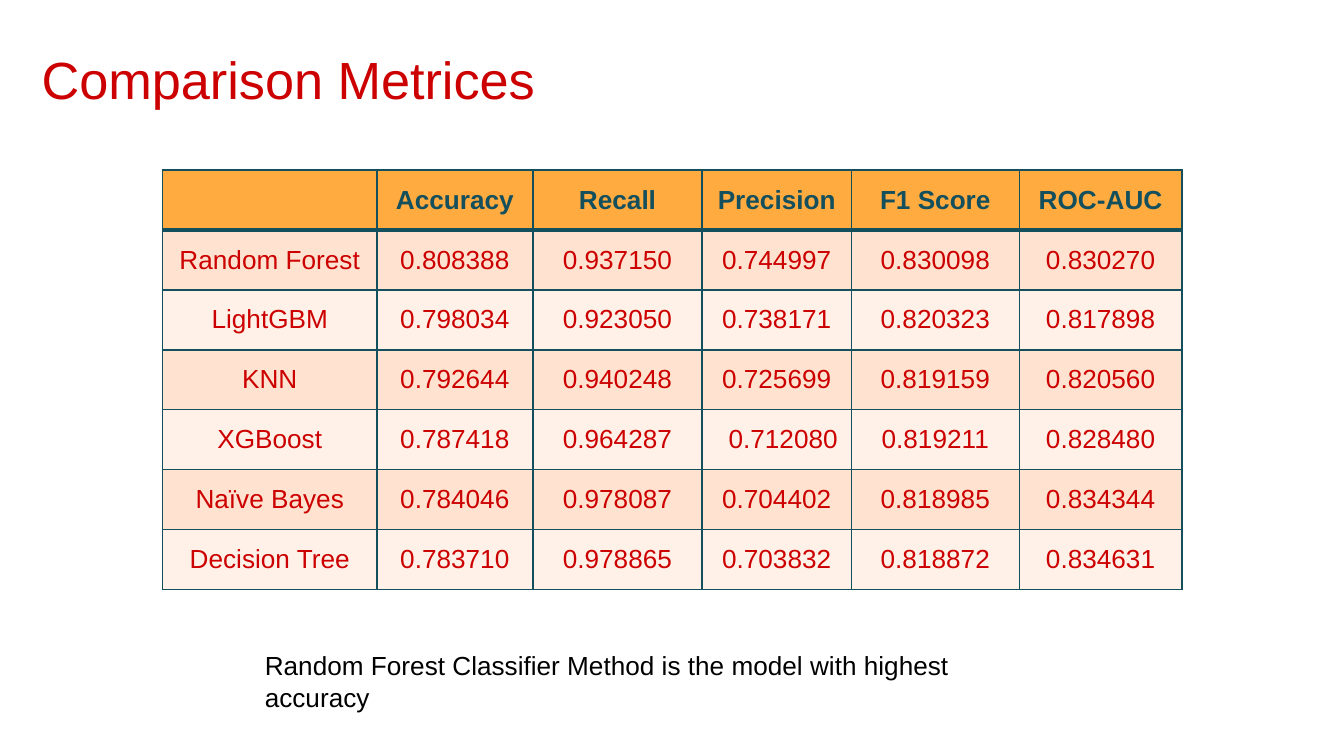
from dataclasses import dataclass

from lxml import etree
from pptx import Presentation
from pptx.dml.color import RGBColor
from pptx.enum.text import MSO_ANCHOR, PP_ALIGN
from pptx.oxml.ns import qn
from pptx.util import Inches, Length, Pt

LEFT, CENTER, RIGHT = PP_ALIGN.LEFT, PP_ALIGN.CENTER, PP_ALIGN.RIGHT
TOP, MIDDLE = MSO_ANCHOR.TOP, MSO_ANCHOR.MIDDLE
SLIDE_WIDTH = Inches(10)
SLIDE_HEIGHT = Length(SLIDE_WIDTH * 9 // 16)
FONT = "Arial"
COLORS = {
    "red": "CC0000",
    "teal": "134F5C",
    "orange": "FFAB40",
    "peach": "FFE2CF",
    "cream": "FFF1E8",
    "black": "000000",
}
COLUMN_SHARES = (15.95, 11.6, 12.6, 11.1, 12.5, 12.1)
THIN, THICK = 1, 3


@dataclass(frozen=True)
class Area:
    """Position and size in percent of the slide."""
    left: float
    top: float
    width: float
    height: float

    def lengths(self) -> tuple[Length, ...]:
        return (across(self.left), down(self.top), across(self.width), down(self.height))


@dataclass(frozen=True)
class Model:
    name: str
    scores: tuple[str, ...]


TITLE_AREA = Area(2.1, 4.45, 93.2, 11.2)
TABLE_AREA = Area(12.1, 22.5, sum(COLUMN_SHARES), 55.5)
CAPTION_AREA = Area(18.72, 85.05, 61, 6.05)

METRICS = ("Accuracy", "Recall", "Precision", "F1 Score", "ROC-AUC")
MODELS = (
    Model("Random Forest", ("0.808388", "0.937150", "0.744997", "0.830098", "0.830270")),
    Model("LightGBM", ("0.798034", "0.923050", "0.738171", "0.820323", "0.817898")),
    Model("KNN", ("0.792644", "0.940248", "0.725699", "0.819159", "0.820560")),
    Model("XGBoost", ("0.787418", "0.964287", "0.712080", "0.819211", "0.828480")),
    Model("Naïve Bayes", ("0.784046", "0.978087", "0.704402", "0.818985", "0.834344")),
    Model("Decision Tree", ("0.783710", "0.978865", "0.703832", "0.818872", "0.834631")),
)
RIGHT_ALIGNED = {("XGBoost", "Precision")}


def across(percent: float) -> Length:
    return Length(round(SLIDE_WIDTH * percent / 100))


def down(percent: float) -> Length:
    return Length(round(SLIDE_HEIGHT * percent / 100))


def write(frame, text: str, *, size: float = 14, color: str = "red",
          bold: bool = False, align=LEFT) -> None:
    para = frame.paragraphs[0]
    para.alignment = align
    para.font.size = Pt(size)
    if text:
        span = para.add_run()
        span.text = text
        span.font.name = FONT
        span.font.size = Pt(size)
        span.font.bold = bold
        span.font.color.rgb = RGBColor.from_string(COLORS[color])


def place(shape, area: Area) -> None:
    shape.left, shape.top, shape.width, shape.height = area.lengths()


def add_borders(cell, top: float, bottom: float) -> None:
    properties = cell._tc.get_or_add_tcPr()
    for side, weight in (("L", THIN), ("R", THIN), ("T", top), ("B", bottom)):
        line = etree.SubElement(properties, qn(f"a:ln{side}"), w=str(Pt(weight)))
        fill = etree.SubElement(line, qn("a:solidFill"))
        etree.SubElement(fill, qn("a:srgbClr"), val=COLORS["teal"])


def format_cell(cell, text: str, *, fill: str, color: str, bold: bool = False,
                align=CENTER, top: float = THIN, bottom: float = THIN) -> None:
    add_borders(cell, top, bottom)
    cell.fill.solid()
    cell.fill.fore_color.rgb = RGBColor.from_string(COLORS[fill])
    cell.vertical_anchor = MIDDLE
    write(cell.text_frame, text, color=color, bold=bold, align=align)


def add_title(page) -> None:
    title = page.shapes.title
    place(title, TITLE_AREA)
    frame = title.text_frame
    frame.word_wrap = True
    frame.vertical_anchor = TOP
    frame.margin_left = frame.margin_right = Inches(0.1)
    frame.margin_top = frame.margin_bottom = Inches(0.1)
    write(frame, "Comparison Metrices", size=28)


def add_metrics_table(page) -> None:
    row_count = len(MODELS) + 1
    table = page.shapes.add_table(row_count, len(COLUMN_SHARES), *TABLE_AREA.lengths()).table
    table.first_row = table.horz_banding = False
    for column, share in zip(table.columns, COLUMN_SHARES):
        column.width = across(share)
    for row in table.rows:
        row.height = down(TABLE_AREA.height / row_count)

    for column, heading in enumerate(("", *METRICS)):
        format_cell(table.cell(0, column), heading, fill="orange", color="teal",
                    bold=True, bottom=THICK)
    for row, model in enumerate(MODELS, start=1):
        values = zip(("Model", *METRICS), (model.name, *model.scores))
        for column, (metric, value) in enumerate(values):
            format_cell(table.cell(row, column), value, color="red",
                        fill="peach" if row % 2 else "cream",
                        align=RIGHT if (model.name, metric) in RIGHT_ALIGNED else CENTER,
                        top=THICK if row == 1 else THIN)


def add_caption(page) -> None:
    box = page.shapes.add_textbox(*CAPTION_AREA.lengths())
    box.text_frame.word_wrap = True
    write(box.text_frame, "Random Forest Classifier Method is the model with highest accuracy",
          color="black")


def main() -> None:
    deck = Presentation()
    deck.slide_width, deck.slide_height = SLIDE_WIDTH, SLIDE_HEIGHT
    page = deck.slides.add_slide(deck.slide_layouts.get_by_name("Title Only"))
    add_title(page)
    add_metrics_table(page)
    add_caption(page)
    deck.save("out.pptx")


if __name__ == "__main__":
    main()
